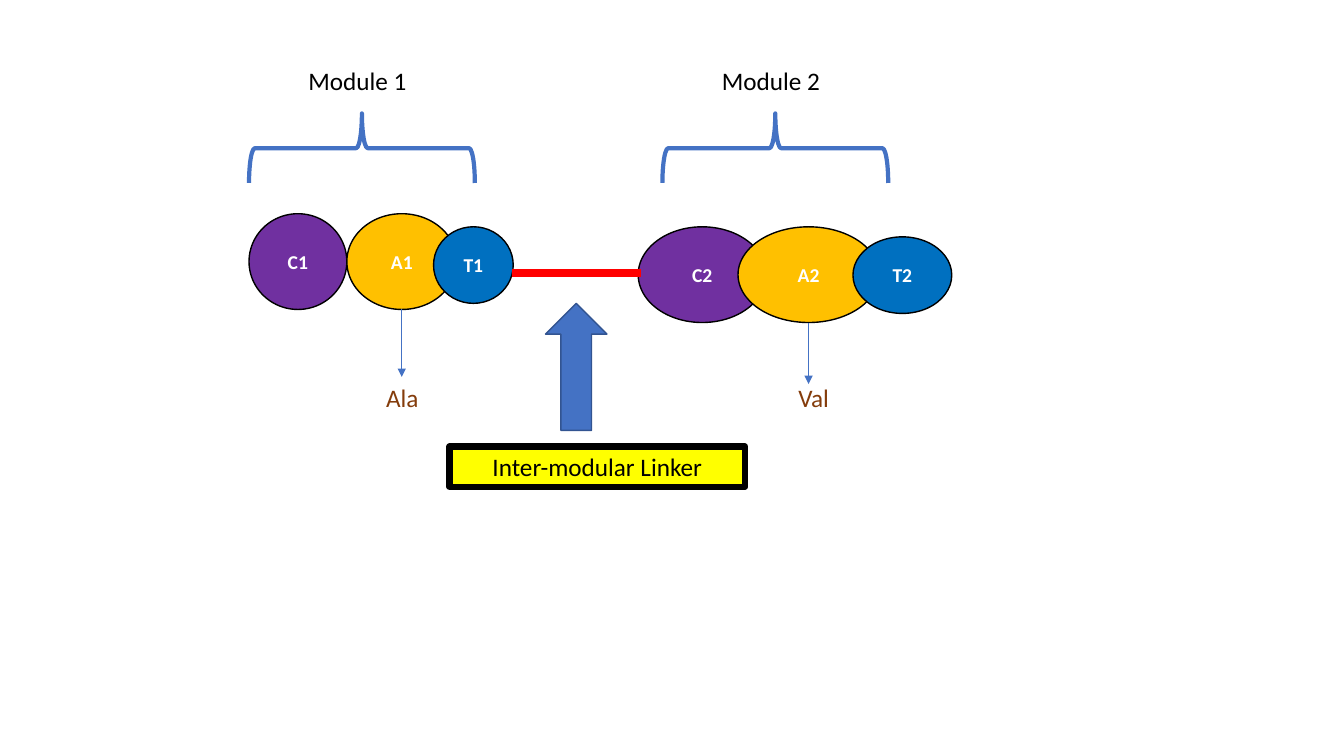
from lxml import etree
from pptx import Presentation
from pptx.dml.color import RGBColor
from pptx.enum.shapes import MSO_CONNECTOR, MSO_SHAPE as SHAPE
from pptx.enum.text import MSO_ANCHOR, PP_ALIGN
from pptx.oxml.ns import qn
from pptx.util import Inches, Pt

COLORS = {
    "condensation": "7030A0", "adenylation": "FFC000", "thiolation": "0070C0",
    "blue": "4472C4", "blue_edge": "325491", "linker": "FF0000",
    "label": "FFFF00", "residue": "843C0B", "black": "000000", "white": "FFFFFF",
}
DOMAINS = (("C", "condensation"), ("A", "adenylation"), ("T", "thiolation"))


def rgb(name):
    """Return the named palette colour."""
    return RGBColor.from_string(COLORS[name])


def write(sp, text, size, color, bold=False, anchor=MSO_ANCHOR.TOP):
    """Write one centred run into a shape."""
    tf = sp.text_frame
    tf.word_wrap = True
    tf.vertical_anchor = anchor
    p = tf.paragraphs[0]
    p.alignment = PP_ALIGN.CENTER
    r = p.add_run()
    r.text = text
    r.font.name, r.font.size, r.font.bold = "Calibri", Pt(size), bold
    r.font.color.rgb = rgb(color)


def add_shape(slide, kind, box, fill=None, line=None, width=1):
    """Add a preset shape with the given fill and outline."""
    sp = slide.shapes.add_shape(kind, *map(Inches, box))
    sp.shadow.inherit = False
    if fill:
        sp.fill.solid()
        sp.fill.fore_color.rgb = rgb(fill)
    else:
        sp.fill.background()
    if line:
        sp.line.color.rgb = rgb(line)
        sp.line.width = Pt(width)
    else:
        sp.line.fill.background()
    return sp


def add_text(slide, text, box, color):
    """Add a centred text box."""
    write(slide.shapes.add_textbox(*map(Inches, box)), text, 18, color)


def add_arrow(slide, x, top, bottom):
    """Add a thin downward arrow."""
    cx = slide.shapes.add_connector(
        MSO_CONNECTOR.STRAIGHT, *map(Inches, (x, top, x, bottom)))
    cx.line.color.rgb = rgb("blue")
    cx.line.width = Pt(0.5)
    etree.SubElement(cx.line._get_or_add_ln(), qn("a:tailEnd"), type="triangle")
    etree.SubElement(cx._element.spPr, qn("a:effectLst"))


def add_module(slide, box, number, ovals, brace_mid, residue, residue_mid, arrow_len):
    """Draw a module: heading, brace, three domains and its residue."""
    left, top, _, height = box
    for (letter, fill), (dx, dy, w, h) in zip(DOMAINS, ovals):
        sp = add_shape(slide, SHAPE.OVAL, (left + dx, top + dy, w, h), fill, "black")
        write(sp, f"{letter}{number}", 14, "white", True, MSO_ANCHOR.MIDDLE)
    dx, dy, w, h = ovals[1]
    start = top + dy + h
    add_arrow(slide, left + dx + w / 2, start, start + arrow_len)
    add_text(slide, residue,
             (left + residue_mid - 0.7, top + height - 0.53, 1.4, 0.53), "residue")
    mid = left + brace_mid
    brace = add_shape(slide, SHAPE.RIGHT_BRACE,
                      (mid - 0.345, top - 0.25, 0.69, 2.24), None, "blue", 3)
    brace.rotation = 270
    add_text(slide, f"Module {number}", (mid - 0.8, top, 1.51, 0.53), "black")


def add_linker(slide, box):
    """Draw the linker bar, the block arrow and the label below."""
    left, top, width, height = box
    bar = add_shape(slide, SHAPE.MATH_MINUS, (left + 0.39, top, 1.74, 0.33), "linker")
    bar.adjustments[0] = 0.235
    add_shape(slide, SHAPE.UP_ARROW, (left + 0.95, top + 0.47, 0.61, 1.26),
              "blue", "blue_edge")
    label = add_shape(slide, SHAPE.RECTANGLE, (left, top + height - 0.4, width, 0.4),
                      "label", "black", 4.5)
    write(label, "Inter-modular Linker", 18, "black")


def main():
    """Build and save the slide."""
    prs = Presentation()
    prs.slide_width, prs.slide_height = Inches(13.33), Inches(7.5)
    slide = prs.slides.add_slide(prs.slide_layouts[6])
    add_module(slide, (2.47, 0.6, 2.62, 3.67), 1,
               ((0, 1.52, 0.97, 0.95), (0.97, 1.52, 1.09, 0.95), (1.83, 1.65, 0.79, 0.76)),
               1.12, "Ala", 1.52, 0.67)
    add_module(slide, (6.33, 0.6, 3.11, 3.67), 2,
               ((0, 1.65, 1.27, 0.95), (0.99, 1.65, 1.4, 0.95), (2.13, 1.75, 0.98, 0.76)),
               1.36, "Val", 1.74, 0.61)
    add_linker(slide, (4.46, 2.54, 2.93, 2.29))
    prs.save("out.pptx")


if __name__ == "__main__":
    main()
